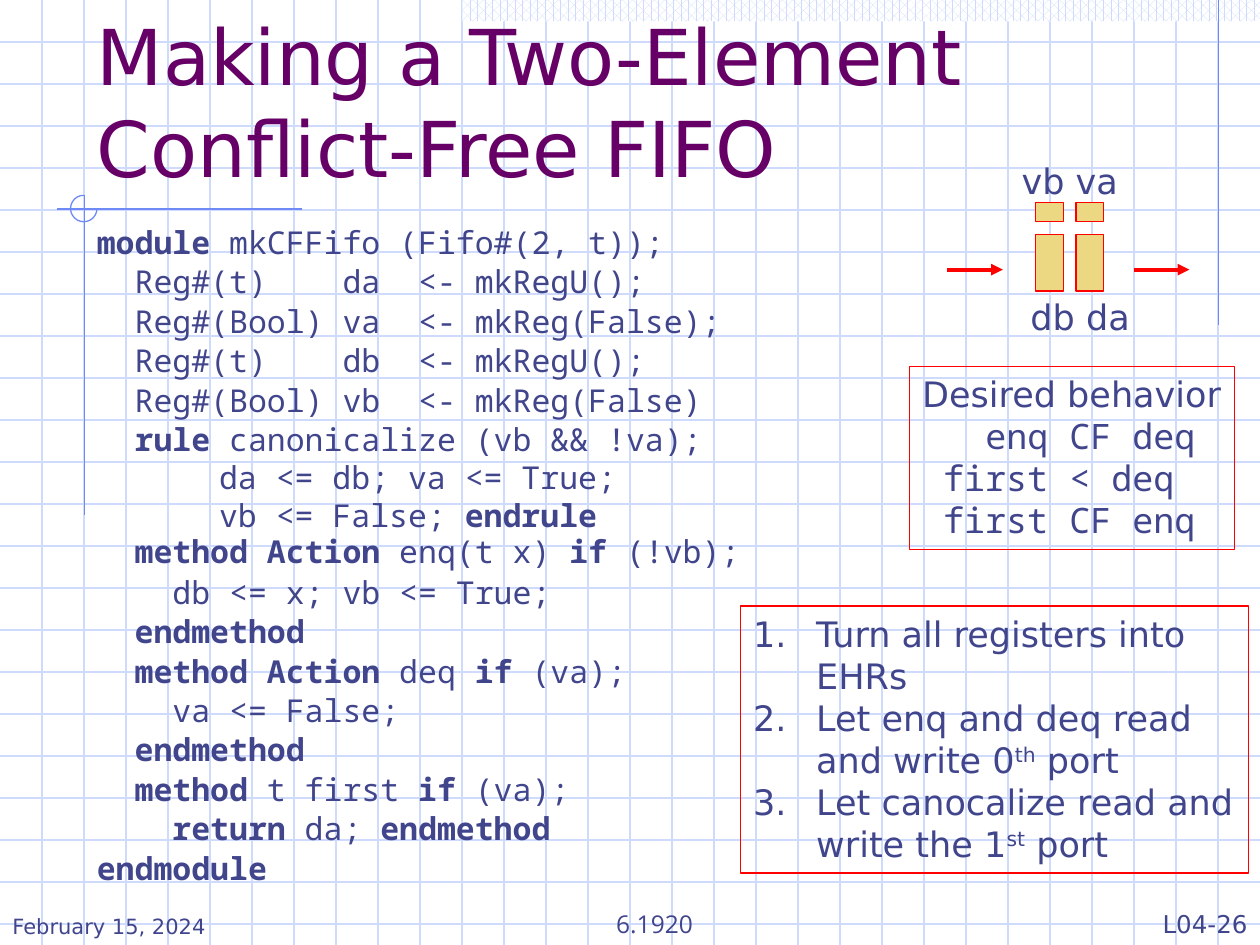
from lxml.etree import SubElement
from pptx import Presentation
from pptx.dml.color import RGBColor
from pptx.enum.dml import MSO_PATTERN
from pptx.enum.shapes import MSO_CONNECTOR, MSO_SHAPE
from pptx.enum.text import MSO_ANCHOR, PP_ALIGN
from pptx.oxml.ns import qn
from pptx.util import Inches, Pt

NAVY = RGBColor(0x40, 0x45, 0x8C)
PURPLE = RGBColor(0x66, 0x00, 0x66)
RED = RGBColor(0xFF, 0x00, 0x00)
GOLD = RGBColor(0xEC, 0xD8, 0x82)
BLUE = RGBColor(0x6F, 0x89, 0xF7)
PALE_BLUE = RGBColor(0xCF, 0xDB, 0xFD)
WHITE = RGBColor(0xFF, 0xFF, 0xFF)
SANS, MONO = "DejaVu Sans", "Noto Sans Mono"
WIDTH, HEIGHT = 10, 7.5
GRID_STEPS_PER_INCH = 3

# Words between asterisks are bold.
CODE = [
    "*module *mkCFFifo (Fifo#(2, t));",
    "  Reg#(t)    da  <- mkRegU();",
    "  Reg#(Bool) va  <- mkReg(False);",
    "  Reg#(t)    db  <- mkRegU();",
    "  Reg#(Bool) vb  <- mkReg(False)",
    "  *rule* canonicalize (vb && !va);",
    "    da <= db; va <= True;",
    "    vb <= False; *endrule*",
    "*  method Action *enq(t x) *if* (!vb);",
    "    db <= x; vb <= True;",
    "*  endmethod*",
    "*  method Action *deq *if* (va);",
    "    va <= False;",
    "  *endmethod*",
    "*  method *t first *if* (va);",
    "*    return* da; *endmethod*",
    "*endmodule*",
]
RULE_BODY = (6, 7)
TIGHT_LINE = 8
BEHAVIOR = [
    [("Desired behavior", SANS)],
    [("   ", "Courier New"), ("enq CF deq", MONO)],
    [(" first < deq", MONO)],
    [(" first CF enq", MONO)],
]
# Letters between carets are superscript.
STEPS = [
    "Turn all registers into EHRs",
    "Let enq and deq read and write 0^th^ port",
    "Let canocalize read and write the 1^st^ port",
]
# text, box, size, font, colour, alignment, anchor, wrap
LABELS = [
    ("Making a Two-Element Conflict-Free FIFO", (0.67, 0.33, 8.5, 1.25), 44, SANS, PURPLE,
     PP_ALIGN.LEFT, MSO_ANCHOR.BOTTOM, True),
    ("vb va", (8.01, 1.22, 0.99, 0.44), 20, SANS, NAVY, PP_ALIGN.LEFT, MSO_ANCHOR.TOP, False),
    ("db da", (8.08, 2.3, 0.99, 0.44), 20, SANS, NAVY, PP_ALIGN.LEFT, MSO_ANCHOR.TOP, False),
    ("February 15, 2024", (0, 7, 2.08, 0.5), 12, SANS, NAVY,
     PP_ALIGN.LEFT, MSO_ANCHOR.BOTTOM, True),
    ("6.1920", (3.39, 7, 3.61, 0.5), 14, "Open Sans", NAVY,
     PP_ALIGN.CENTER, MSO_ANCHOR.BOTTOM, True),
    ("L04-26", (7.92, 7, 2.08, 0.5), 14, SANS, NAVY,
     PP_ALIGN.RIGHT, MSO_ANCHOR.BOTTOM, True),
]
GUIDES = [(9.67, 0, 9.67, 2.58), (2.4, 1.66, 0.45, 1.66), (0.67, 1.55, 0.67, 4.09)]
FIFO_COLUMNS = (8.22, 8.54)
FIFO_ROWS = [(1.86, 0.45), (1.61, 0.15)]  # top, height
ARROW_STARTS = (7.52, 9)
ARROW_Y, ARROW_LENGTH = 2.14, 0.44

deck = Presentation()
deck.slide_width, deck.slide_height = Inches(WIDTH), Inches(HEIGHT)
page = deck.slides.add_slide(deck.slide_layouts[6])


def add_shape(kind, bounds, line=None, fill=None):
    shape = page.shapes.add_shape(kind, *map(Inches, bounds))
    shape.shadow.inherit = False
    if fill is None:
        shape.fill.background()
    else:
        shape.fill.solid()
        shape.fill.fore_color.rgb = fill
    if line is None:
        shape.line.fill.background()
    else:
        shape.line.color.rgb = line
        shape.line.width = Pt(0.75)
    return shape


def add_line(ends, color, width=0.75):
    line = page.shapes.add_connector(MSO_CONNECTOR.STRAIGHT, *map(Inches, ends))
    line.line.color.rgb = color
    line.line.width = Pt(width)
    SubElement(line._element.spPr, qn("a:effectLst"))
    return line


def grid_stops(length):
    """Return the grid positions that lie inside the given length."""
    count = int(length * GRID_STEPS_PER_INCH - 0.01)
    return [step / GRID_STEPS_PER_INCH for step in range(1, count + 1)]


def set_frame(shape, wrap=True, anchor=MSO_ANCHOR.TOP):
    frame = shape.text_frame
    frame.word_wrap = wrap
    frame.vertical_anchor = anchor
    return frame


def add_paragraphs(frame, count):
    """Return the frame's first paragraph and as many new ones as needed."""
    paras = [frame.paragraphs[0]] + [frame.add_paragraph() for _ in range(count - 1)]
    for para in paras:
        para.alignment = PP_ALIGN.LEFT
    return paras


def add_run(para, text, size, font=SANS, color=NAVY, bold=False):
    span = para.add_run()
    span.text = text
    span.font.size, span.font.name, span.font.bold = Pt(size), font, bold
    span.font.color.rgb = color
    return span


def marked_parts(text, mark):
    """Yield each piece of text and whether it stands between marks."""
    for index, part in enumerate(text.split(mark)):
        if part:
            yield part, index % 2 == 1


def set_indent(para, left, first):
    props = para._p.get_or_add_pPr()
    props.set("marL", str(Inches(left)))
    props.set("indent", str(Inches(first)))
    return props


# Slide decoration
for y in grid_stops(HEIGHT):
    add_line((0, y, WIDTH, y), PALE_BLUE)
for x in grid_stops(WIDTH):
    add_line((x, 0, x, HEIGHT), PALE_BLUE)
band = add_shape(MSO_SHAPE.RECTANGLE, (3.67, 0, 6.33, 0.17))
band.fill.patterned()
band.fill.pattern = MSO_PATTERN.PERCENT_60
band.fill.fore_color.rgb, band.fill.back_color.rgb = PALE_BLUE, WHITE
for guide in GUIDES:
    add_line(guide, BLUE)
arc = add_shape(MSO_SHAPE.ARC, (0.56, 1.55, 0.21, 0.21), BLUE)
arc.adjustments[0], arc.adjustments[1] = 0, 162  # clockwise from right to top

# Code listing
code_box = page.shapes.add_textbox(*map(Inches, (0.67, 1.72, 7.39, 5.39)))
code_paras = add_paragraphs(set_frame(code_box), len(CODE))
for number, (para, text) in enumerate(zip(code_paras, CODE)):
    in_rule = number in RULE_BODY
    set_indent(para, 0.37, 0 if in_rule else -0.37)
    para.space_before = Pt(0 if in_rule else 0.93)
    if number == TIGHT_LINE:
        para.line_spacing = 0.95
    for part, bold in marked_parts(text, "*"):
        add_run(para, part, 18, MONO, bold=bold)

# Two-element queue
for top, height in FIFO_ROWS:
    for left in FIFO_COLUMNS:
        add_shape(MSO_SHAPE.RECTANGLE, (left, top, 0.22, height), RED, GOLD)
for start in ARROW_STARTS:
    arrow = add_line((start, ARROW_Y, start + ARROW_LENGTH, ARROW_Y), RED, 2.25)
    SubElement(arrow.line._get_or_add_ln(), qn("a:tailEnd"), type="triangle")

# Framed notes
behavior_box = add_shape(MSO_SHAPE.RECTANGLE, (7.22, 2.91, 2.58, 1.45), RED)
behavior_paras = add_paragraphs(set_frame(behavior_box, wrap=False), len(BEHAVIOR))
for para, parts in zip(behavior_paras, BEHAVIOR):
    for text, font in parts:
        add_run(para, text, 20, font)

steps_box = add_shape(MSO_SHAPE.RECTANGLE, (5.88, 4.81, 4.03, 2.12), RED)
for para, text in zip(add_paragraphs(set_frame(steps_box), len(STEPS)), STEPS):
    props = set_indent(para, 0.5, -0.5)
    SubElement(props, qn("a:buFont"), typeface="+mj-lt")
    SubElement(props, qn("a:buAutoNum"), type="arabicPeriod")
    for part, raised in marked_parts(text, "^"):
        span = add_run(para, part, 20)
        if raised:
            span.font._element.set("baseline", "30000")

# Title, queue labels and footer
for text, bounds, size, font, color, align, anchor, wrap in LABELS:
    box = page.shapes.add_textbox(*map(Inches, bounds))
    para = set_frame(box, wrap, anchor).paragraphs[0]
    para.alignment = align
    add_run(para, text, size, font, color)

deck.save("out.pptx")
